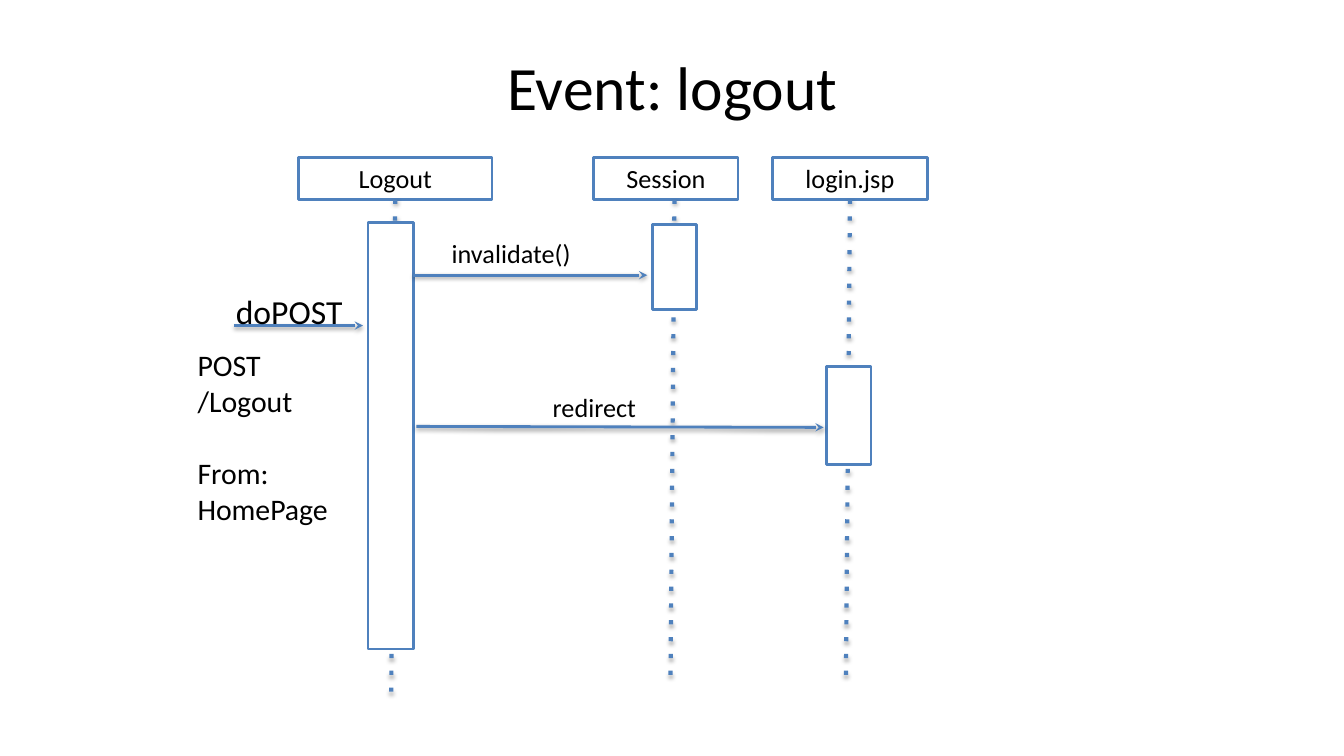
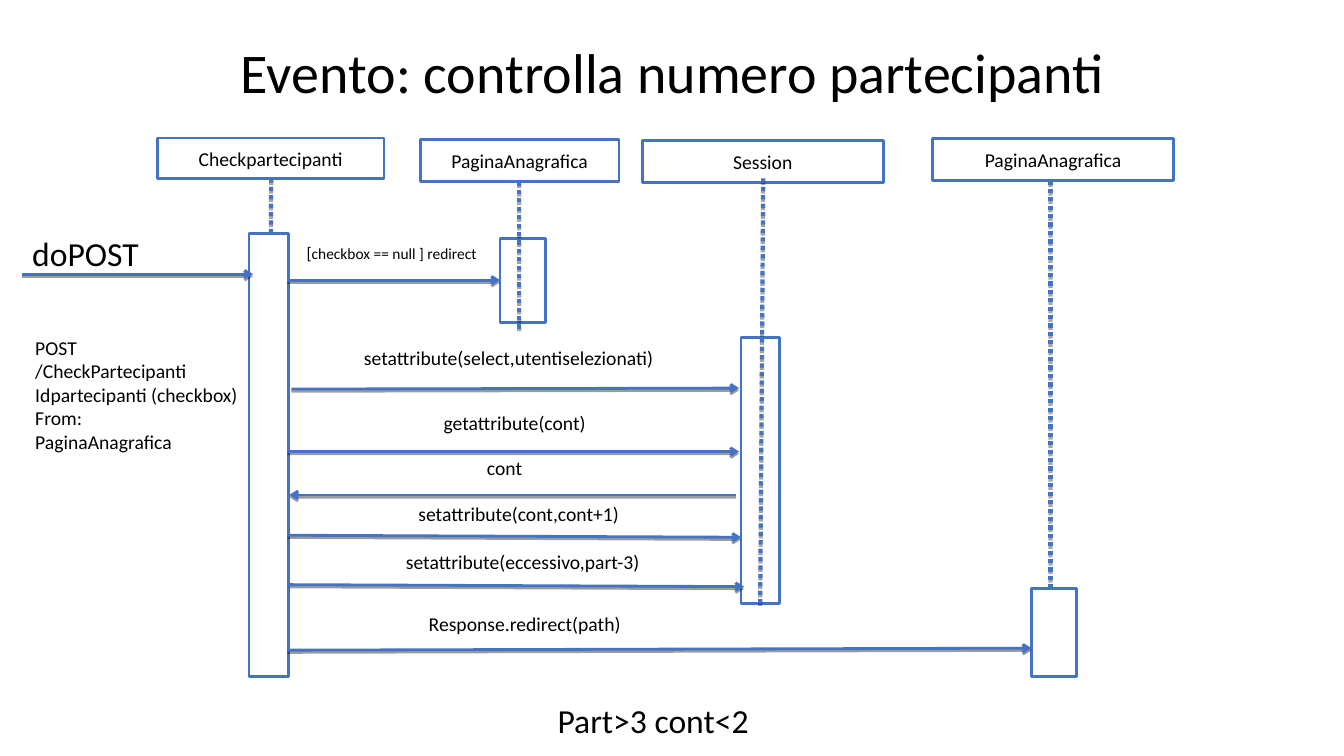
"""Build two sequence diagrams: logout and the participant count check."""
from dataclasses import dataclass

from lxml import etree
from pptx import Presentation
from pptx import util as u
from pptx.dml.color import RGBColor
from pptx.enum import shapes, text
from pptx.oxml import ns

FONT = "Calibri"
COLOURS = {"ink": "000000", "paper": "FFFFFF", "logout": "4F81BD", "check": "4472C4"}
CENTRE, LEFT = text.PP_ALIGN.CENTER, text.PP_ALIGN.LEFT
TOP, MIDDLE = text.MSO_ANCHOR.TOP, text.MSO_ANCHOR.MIDDLE
Point = tuple[float, float]
Box = tuple[float, float, float, float]


@dataclass(frozen=True)
class Look:
    colour: str
    dash: str
    arrowhead: str
    blur: float
    head_size: float


@dataclass(frozen=True)
class Participant:
    name: str
    head: Box
    bar: Box
    life_start: Point
    life_end: Point
    life_in_front: bool = False


@dataclass(frozen=True)
class Note:
    lines: tuple[str, ...]
    box: Box
    size: float
    align: text.PP_ALIGN = CENTRE
    anchor: text.MSO_ANCHOR = TOP
    last_gap: float = 0
    lead: str = ""
    lead_size: float = 0


@dataclass(frozen=True)
class Message:
    label: Note
    start: Point
    end: Point


@dataclass(frozen=True)
class Diagram:
    look: Look
    title: Note
    participants: tuple[Participant, ...]
    messages: tuple[Message, ...]
    notes: tuple[Note, ...]


def rgb(name: str) -> RGBColor:
    return RGBColor.from_string(COLOURS[name])


def inches(box: tuple[float, ...]) -> list[u.Length]:
    return [u.Inches(value) for value in box]


def write(frame, note: Note) -> None:
    frame.word_wrap = True
    frame.vertical_anchor = note.anchor
    frame.margin_left = frame.margin_right = u.Inches(0.13)
    frame.margin_top = frame.margin_bottom = u.Inches(0.07)
    for index, line in enumerate(note.lines):
        paragraph = frame.add_paragraph() if index else frame.paragraphs[0]
        paragraph.alignment = note.align
        if index and index == len(note.lines) - 1 and note.last_gap:
            paragraph.space_before = u.Pt(note.last_gap)
        font = paragraph.font
        font.name, font.size = FONT, u.Pt(note.size)
        font.color.rgb = rgb("ink")
        if note.lead and not index:
            lead = paragraph.add_run()
            lead.text = note.lead
            lead.font.size = u.Pt(note.lead_size)
        paragraph.add_run().text = line


def draw_note(slide, note: Note) -> None:
    write(slide.shapes.add_textbox(*inches(note.box)).text_frame, note)


def draw_box(slide, look: Look, box: Box, name: str = "") -> None:
    outline = slide.shapes.add_shape(shapes.MSO_SHAPE.RECTANGLE, *inches(box))
    outline.shadow.inherit = False
    outline.fill.solid()
    outline.fill.fore_color.rgb = rgb("paper")
    outline.line.color.rgb = rgb(look.colour)
    outline.line.width = u.Pt(2)
    if name:
        write(outline.text_frame, Note((name,), box, look.head_size, anchor=MIDDLE))


def add_shadow(properties, blur: float, distance: float, opacity: int) -> None:
    effects = etree.SubElement(properties, ns.qn("a:effectLst"))
    shadow = etree.SubElement(
        effects, ns.qn("a:outerShdw"), blurRad=str(u.Pt(blur)),
        dist=str(u.Pt(distance)), dir="5400000", rotWithShape="0",
    )
    tint = etree.SubElement(shadow, ns.qn("a:srgbClr"), val=COLOURS["ink"])
    etree.SubElement(tint, ns.qn("a:alpha"), val=str(opacity * 1000))


def draw_line(slide, look: Look, start: Point, end: Point, lifeline: bool = False) -> None:
    connector = slide.shapes.add_connector(
        shapes.MSO_CONNECTOR.STRAIGHT, *inches(start + end)
    )
    connector.line.color.rgb = rgb(look.colour)
    connector.line.width = u.Pt(3 if lifeline else 2)
    properties = connector._element.spPr
    stroke = properties.find(ns.qn("a:ln"))
    if lifeline:
        etree.SubElement(stroke, ns.qn("a:prstDash"), val=look.dash)
        add_shadow(properties, look.blur, 1.8, 35)
    else:
        etree.SubElement(stroke, ns.qn("a:tailEnd"), type=look.arrowhead)
        add_shadow(properties, look.blur, 1.6, 38)


def draw_participant(slide, look: Look, who: Participant) -> None:
    draw_box(slide, look, who.head, who.name)
    if who.life_in_front:
        draw_box(slide, look, who.bar)
    draw_line(slide, look, who.life_start, who.life_end, lifeline=True)
    if not who.life_in_front:
        draw_box(slide, look, who.bar)


def draw_diagram(deck, diagram: Diagram) -> None:
    slide = deck.slides.add_slide(deck.slide_layouts[6])
    draw_note(slide, diagram.title)
    for who in diagram.participants:
        draw_participant(slide, diagram.look, who)
    for message in diagram.messages:
        draw_line(slide, diagram.look, message.start, message.end)
        draw_note(slide, message.label)
    for note in diagram.notes:
        draw_note(slide, note)


def title(words: str, top: float, height: float, size: float) -> Note:
    return Note((words,), (0.67, top, 12, height), size, anchor=MIDDLE)


def do_post(left: float, top: float) -> Note:
    return Note(("doPOST",), (left, top, 1.34, 0.4), 24, LEFT)


def session_label(words: str, left: float, top: float) -> Note:
    return Note((words,), (left, top, 3.97, 0.37), 14)


LOGOUT = Diagram(
    Look("logout", "dot", "stealth", 3.1, 18.7),
    title("Event: logout", 0.3, 1.1, 44),
    (
        Participant("Logout", (2.96, 1.56, 1.92, 0.42), (3.65, 2.21, 0.45, 4.23),
                    (3.92, 1.98), (3.88, 6.89)),
        Participant("Session", (5.89, 1.56, 1.43, 0.42), (6.47, 2.23, 0.44, 0.84),
                    (6.69, 1.98), (6.65, 6.73)),
        Participant("login.jsp", (7.66, 1.56, 1.54, 0.42), (8.2, 3.64, 0.44, 0.97),
                    (8.43, 1.98), (8.39, 6.73)),
    ),
    (
        Message(do_post(2.21, 2.82), (2.32, 3.23), (3.6, 3.23)),
        Message(Note(("invalidate()",), (4.35, 2.28, 2.34, 0.34), 18.7, LEFT),
                (4.1, 2.73), (6.42, 2.73)),
        Message(Note(("redirect",), (4.35, 3.81, 3.09, 0.37), 18.7),
                (4.13, 4.23), (8.17, 4.24)),
    ),
    (
        Note(("POST", "/Logout", "From: HomePage"), (1.83, 3.37, 1.76, 3.07), 21.3,
             LEFT, last_gap=26),
    ),
)

CHECK = Diagram(
    Look("check", "sysDot", "arrow", 0, 14),
    title("Evento: controlla numero partecipanti", 0.08, 1.25, 40),
    (
        Participant("Checkpartecipanti", (1.56, 1.37, 2.25, 0.4), (2.47, 2.32, 0.39, 4.39),
                    (2.69, 1.77), (2.66, 6.52)),
        Participant("PaginaAnagrafica", (4.17, 1.38, 1.97, 0.42), (4.96, 2.37, 0.45, 0.83),
                    (5.15, 1.8), (5.15, 3.26), life_in_front=True),
        Participant("Session", (6.37, 1.39, 2.39, 0.42), (7.35, 3.35, 0.38, 2.64),
                    (7.57, 1.77), (7.54, 5.99), life_in_front=True),
        Participant("PaginaAnagrafica", (9.25, 1.37, 2.39, 0.42), (10.23, 5.84, 0.45, 0.87),
                    (10.42, 1.79), (10.42, 6.29)),
    ),
    (
        Message(do_post(0.19, 2.24), (0.22, 2.72), (2.51, 2.72)),
        Message(Note(("checkbox == null ] redirect",), (2.53, 2.34, 2.71, 0.37), 11,
                     lead="[", lead_size=12), (2.85, 2.78), (4.96, 2.78)),
        Message(session_label("setattribute(select,utentiselezionati)", 3.06, 3.36),
                (2.89, 3.86), (7.33, 3.85)),
        Message(session_label("getattribute(cont)", 3.12, 4.01), (2.85, 4.48), (7.33, 4.48)),
        Message(session_label("cont", 3.02, 4.45), (7.3, 4.91), (2.87, 4.91)),
        Message(session_label("setattribute(cont,cont+1)", 3.16, 4.91),
                (2.85, 5.31), (7.35, 5.33)),
        Message(session_label("setattribute(eccessivo,part-3)", 3.2, 5.39),
                (2.87, 5.8), (7.38, 5.82)),
        Message(session_label("Response.redirect(path)", 3.22, 6), (2.85, 6.45), (10.23, 6.43)),
    ),
    (
        Note(("POST", "/CheckPartecipanti", "Idpartecipanti (checkbox)", "From:",
              "PaginaAnagrafica"), (0.22, 3.26, 2.57, 2.26), 14, LEFT),
        Note(("Part>3 cont<2",), (5.4, 6.87, 2.62, 0.43), 24, LEFT),
    ),
)


def main() -> None:
    deck = Presentation()
    deck.slide_width, deck.slide_height = inches((13.33, 7.5))
    for diagram in (LOGOUT, CHECK):
        draw_diagram(deck, diagram)
    deck.save("out.pptx")


if __name__ == "__main__":
    main()
